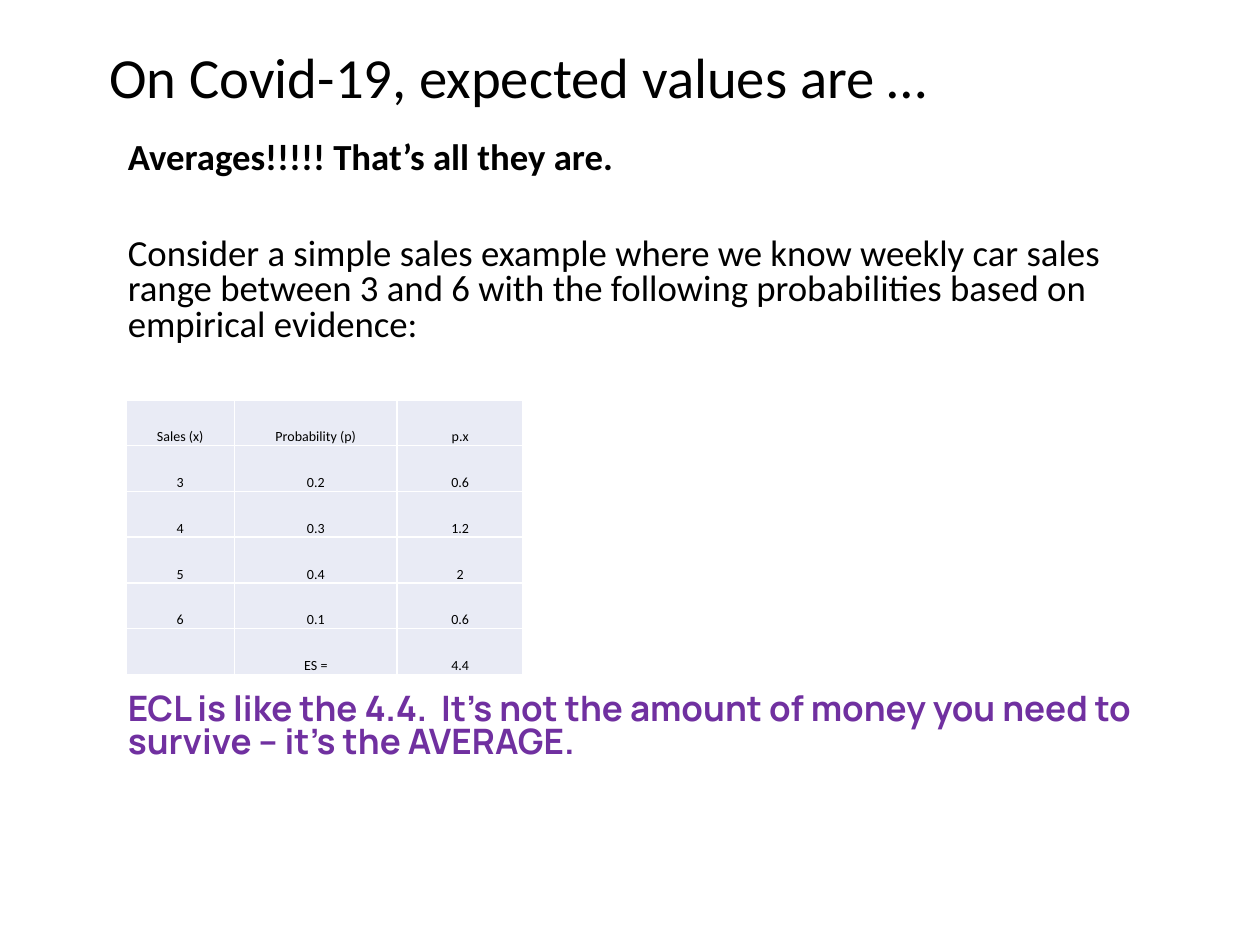
"""Build a slide explaining that expected values are averages."""
from dataclasses import dataclass

import pptx
import pptx.dml.color
import pptx.enum.text
import pptx.oxml
import pptx.oxml.ns
import pptx.util

Pt = pptx.util.Pt
RGBColor = pptx.dml.color.RGBColor

BLACK = RGBColor(0x00, 0x00, 0x00)
PURPLE = RGBColor(0x70, 0x30, 0xA0)
CELL_FILL = RGBColor(0xE9, 0xEB, 0xF5)
WHITE = RGBColor(0xFF, 0xFF, 0xFF)

COL_WIDTHS = (62, 93, 72)
ROW_HEIGHT = 26.15
SALES = (
    ("Sales (x)", "Probability (p)", "p.x"),
    ("3", "0.2", "0.6"),
    ("4", "0.3", "1.2"),
    ("5", "0.4", "2"),
    ("6", "0.1", "0.6"),
    ("", "ES =", "4.4"),
)


@dataclass(frozen=True)
class Para:
    text: str
    size: float
    spacing: float
    before: float = 0
    bold: bool = False
    font: str = "Calibri"
    color: RGBColor = BLACK


TITLE = (Para("On Covid-19, expected values are …", 32.4, 0.9),)
BODY = (
    Para("Averages!!!!! That’s all they are.", 21, 0.8, 7.5, True),
    Para("Consider a simple sales example where we know weekly car sales range "
         "between 3 and 6 with the following probabilities based on empirical "
         "evidence:", 21, 0.8, 34.5),
    Para("ECL is like the 4.4.  It’s not the amount of money you need to survive "
         "– it’s the AVERAGE.", 20, 0.8, 200, True, "Manrope", PURPLE),
)


def style(p, size: float, bold: bool = False, font: str = "Calibri",
          color: RGBColor = BLACK) -> None:
    p.font.size = Pt(size)
    p.font.bold = bold
    p.font.name = font
    p.font.color.rgb = color


def add_text(s, left: float, top: float, width: float, height: float,
             paras: tuple[Para, ...]) -> None:
    tf = s.shapes.add_textbox(Pt(left), Pt(top), Pt(width), Pt(height)).text_frame
    tf.word_wrap = True
    for i, para in enumerate(paras):
        p = tf.add_paragraph() if i else tf.paragraphs[0]
        p.text = para.text
        p.line_spacing = para.spacing
        p.space_before = Pt(para.before)
        style(p, para.size, para.bold, para.font, para.color)


def add_borders(cell) -> None:
    tc_pr = cell._tc.get_or_add_tcPr()
    for side in "LRTB":
        tc_pr.append(pptx.oxml.parse_xml(
            f'<a:ln{side} {pptx.oxml.ns.nsdecls("a")} w="{Pt(1)}"><a:solidFill>'
            f'<a:srgbClr val="{WHITE}"/></a:solidFill></a:ln{side}>'))


def fill_cell(cell, text: str) -> None:
    cell.margin_left = cell.margin_right = cell.margin_top = Pt(0.7)
    cell.margin_bottom = Pt(0)
    cell.vertical_anchor = pptx.enum.text.MSO_ANCHOR.BOTTOM
    add_borders(cell)
    cell.fill.solid()
    cell.fill.fore_color.rgb = CELL_FILL
    p = cell.text_frame.paragraphs[0]
    p.text = text
    p.alignment = pptx.enum.text.PP_ALIGN.CENTER
    style(p, 8)


def add_sales_table(s, left: float, top: float) -> None:
    table = s.shapes.add_table(
        len(SALES), len(COL_WIDTHS), Pt(left), Pt(top),
        Pt(sum(COL_WIDTHS)), Pt(ROW_HEIGHT * len(SALES))).table
    table.first_row = table.horz_banding = False
    for column, width in zip(table.columns, COL_WIDTHS):
        column.width = Pt(width)
    for row, texts in zip(table.rows, SALES):
        row.height = Pt(ROW_HEIGHT)
        for cell, text in zip(row.cells, texts):
            fill_cell(cell, text)


def main() -> None:
    prs = pptx.Presentation()
    prs.slide_width, prs.slide_height = Pt(720), Pt(540)
    s = prs.slides.add_slide(prs.slide_layouts[6])
    add_text(s, 55.5, 24.5, 609, 34.5, TITLE)
    add_text(s, 66, 78, 609, 402, BODY)
    add_sales_table(s, 72, 228.5)
    prs.save("out.pptx")


if __name__ == "__main__":
    main()
